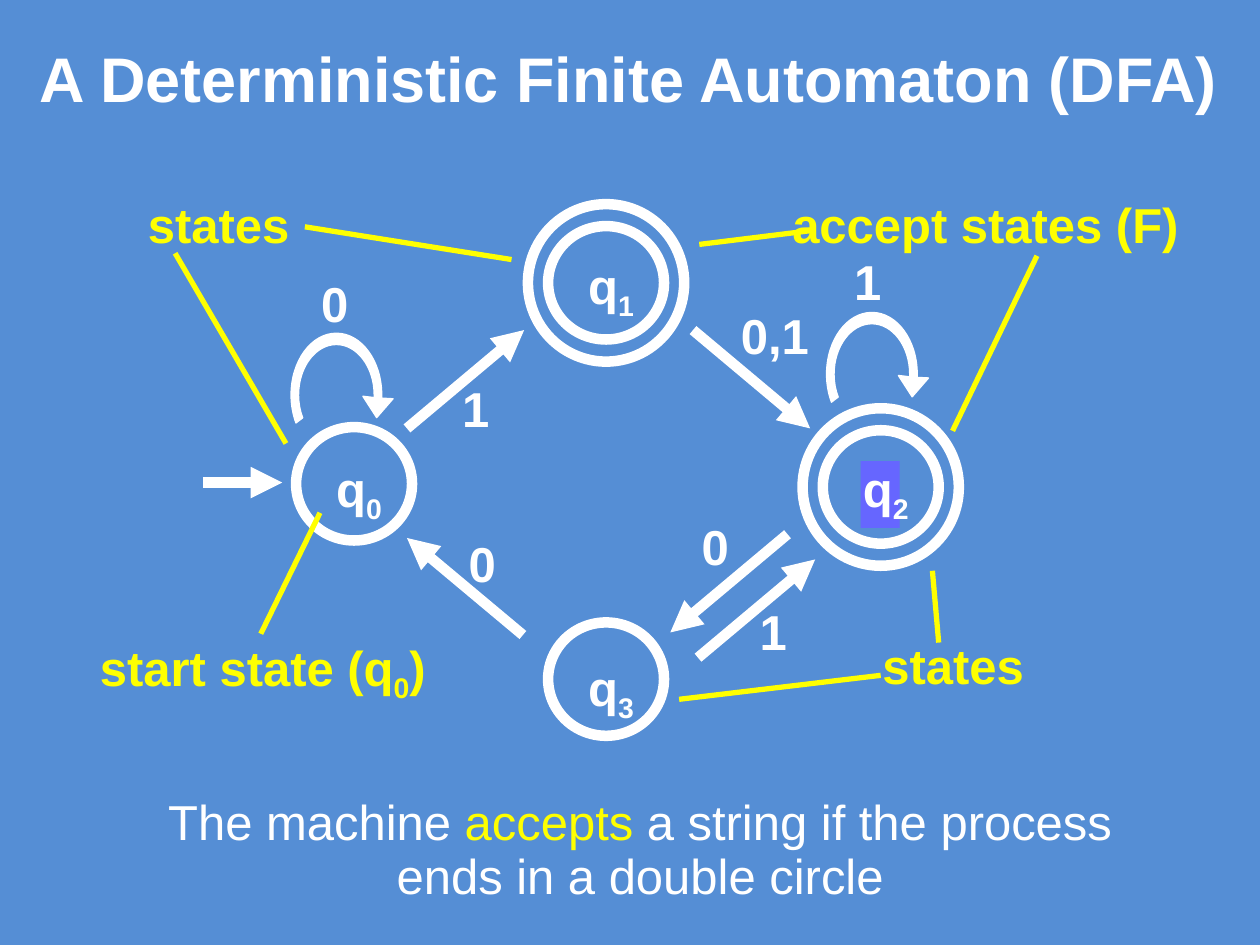
"""Build a slide that explains the parts of a deterministic finite automaton."""
from itertools import pairwise
from math import cos, radians, sin, tan

from lxml.etree import SubElement
from pptx import Presentation
from pptx.dml.color import RGBColor as RGB
from pptx.enum.shapes import MSO_CONNECTOR as CONN, MSO_SHAPE as SHAPE
from pptx.enum.text import MSO_ANCHOR as ANCHOR, MSO_AUTO_SIZE as AUTO, PP_ALIGN as ALIGN
from pptx.oxml.ns import qn
from pptx.util import Inches, Pt

COLORS = {"back": "558ED5", "ink": "FFFFFF", "note": "FFFF00", "mark": "6666FF"}
COLS, ROWS = 100, 75
CELL = Inches(0.1)

# state: centre column, centre row, label row, accepting
STATES = {
    "0": (28.1, 38.4, 35.9, False),
    "1": (48.1, 22.45, 19.8, True),
    "2": (69.9, 38.65, 35.9, True),
    "3": (48.1, 53.9, 51.7, False),
}
ARROWS = [
    (16.1, 38.3, 22.4, 38.3),
    (32.3, 34, 41.6, 26.2),
    (55, 26.2, 64.3, 34),
    (62.5, 42.4, 53.2, 50.2),
    (55.4, 52.2, 64.7, 44.4),
    (41.5, 50.4, 32.3, 42.7),
]
LOOPS = [(26.7, 31.35), (69.2, 29.7)]
SYMBOLS = [
    ("0", 24.5, 21.6), ("0,1", 57.8, 24.2), ("0", 54.7, 40.95), ("0", 36.2, 42.25),
    ("1", 35.7, 30), ("1", 59.3, 47.7), ("1", 66.8, 19.9),
]
NOTES = [
    ("start state (q", 6.75, 50.1, 28.2),
    ("accept states (F)", 61.8, 15.4, 32.8),
    ("states", 10.7, 15.4, 13.3),
    ("states", 69, 50.4, 13.3),
]
POINTERS = [
    (20.7, 50.3, 25.4, 40.7),
    (82.3, 20.3, 75.6, 34.2), (64.4, 18.3, 55.5, 19.4),
    (13.9, 20.1, 22.7, 35.2), (24.2, 18, 40.6, 20.6),
    (69.9, 53.6, 53.9, 55.5), (74, 45.3, 74.5, 51),
]


def grid(*cells):
    """Turn grid cells into lengths."""
    return [round(c * CELL) for c in cells]


def rgb(name):
    """Look up a colour by its name."""
    return RGB.from_string(COLORS[name])


def write(sp, *runs, size=28, bold=True, color="ink", spacing=0.93, wrap=False):
    """Fill a shape with one centred paragraph of (text, overrides) runs."""
    tf = sp.text_frame
    tf.word_wrap, tf.auto_size, tf.vertical_anchor = wrap, AUTO.SHAPE_TO_FIT_TEXT, ANCHOR.TOP
    p = tf.paragraphs[0]
    pPr = p._p.get_or_add_pPr()
    pPr.set("marL", "0")
    pPr.set("indent", "0")
    SubElement(pPr, qn("a:buNone"))
    p.alignment, p.line_spacing, p.space_before = ALIGN.CENTER, spacing, Pt(0)
    for text, fmt in runs:
        r = p.add_run()
        r.text = text
        r.font.name, r.font.size, r.font.bold = "Arial", Pt(size), bold
        r.font.color.rgb = rgb(fmt.get("color", color))
        if fmt.get("sub"):
            r._r.get_or_add_rPr().set("baseline", "-25000")


def move(sp, *box):
    """Place a placeholder on the grid."""
    sp.left, sp.top, sp.width, sp.height = grid(*box)
    return sp


def label(s, box, *runs, **fmt):
    """Add a text box on the grid."""
    write(s.shapes.add_textbox(*grid(*box)), *runs, **fmt)


def line(s, ends, color, width, arrow=False):
    """Add a straight line, with an arrowhead at its end if asked."""
    c = s.shapes.add_connector(CONN.STRAIGHT, *grid(*ends))
    c.line.color.rgb, c.line.width = rgb(color), Pt(width)
    if arrow:
        SubElement(c.line._get_or_add_ln(), qn("a:tailEnd"), type="triangle")
    SubElement(c._element.spPr, qn("a:effectLst"))


def ring(s, x, y, width, height):
    """Add a hollow circle around a centre."""
    sp = s.shapes.add_shape(SHAPE.OVAL, *grid(x - width / 2, y - height / 2, width, height))
    sp.shadow.inherit = False
    sp.fill.background()
    sp.line.color.rgb, sp.line.width = rgb("ink"), Pt(6)


def arc(x, y, rx, ry, angles):
    """List the Bézier points of an elliptic arc, its start first."""
    def at(angle, shift=0):
        c, n = cos(radians(angle)), sin(radians(angle))
        return x + rx * (c - shift * n), y - ry * (n + shift * c)

    points = [at(angles[0])]
    for a, b in pairwise(angles):
        k = 4 / 3 * tan(radians(b - a) / 4)
        points += [at(a, k), at(b, -k), at(b)]
    return points


def bend(segments):
    """Merge each three straight segments into one cubic curve."""
    for i in range(0, len(segments), 3):
        first, *rest = segments[i:i + 3]
        first.tag = qn("a:cubicBezTo")
        for segment in rest:
            first.append(segment[0])
            segment.getparent().remove(segment)


def loop(s, x, y):
    """Add a curved arrow that returns to its own state."""
    angles = [-3, 0, 90, 180, 207]
    inner, outer = arc(x, y, 3, 4, angles), arc(x, y, 3.6, 4.9, angles[::-1])
    head = [(x + dx, y + dy) for dx, dy in [(4.5, 0.3), (3.2, 1.8), (2.1, 0.1)]]
    builder = s.shapes.build_freeform(*grid(*inner[0]))
    builder.add_line_segments([grid(*pt) for pt in inner[1:] + outer + head], close=True)
    sp = builder.convert_to_shape()
    segments = list(sp._element.iter(qn("a:lnTo")))
    turn = len(inner) - 1
    bend(segments[:turn])
    bend(segments[turn + 1:turn + len(outer)])
    sp.shadow.inherit = False
    sp.fill.solid()
    sp.fill.fore_color.rgb = sp.line.color.rgb = rgb("ink")
    sp.line.width = Pt(0.75)


def highlight(s, *box):
    """Add a plain filled box behind a label."""
    sp = s.shapes.add_shape(SHAPE.RECTANGLE, *grid(*box))
    sp.shadow.inherit = False
    sp.fill.solid()
    sp.fill.fore_color.rgb = rgb("mark")
    sp.line.fill.background()


def main():
    """Draw the automaton with its notes."""
    prs = Presentation()
    prs.slide_width, prs.slide_height = grid(COLS, ROWS)
    s = prs.slides.add_slide(prs.slide_layouts[1])
    s.background.fill.solid()
    s.background.fill.fore_color.rgb = rgb("back")

    write(move(s.shapes.title, 0, 1.55, 99.8, 8.1),
          ("A Deterministic Finite Automaton (DFA)", {}), size=36, spacing=1.18, wrap=True)
    write(move(s.placeholders[1], 9, 62.7, 83.6, 9.8),
          ("The machine ", {}), ("accepts", {"color": "note"}),
          (" a string if the process ends in a double circle", {}), bold=False, wrap=True)

    for x, y, _, accepting in STATES.values():
        ring(s, x, y, 9.2, 9)
        if accepting:
            ring(s, x, y, 12.4, 12.5)
    for ends in ARROWS:
        line(s, ends, "ink", 6, arrow=True)
    for centre in LOOPS:
        loop(s, *centre)
    for text, x, y in SYMBOLS:
        label(s, (x, y, 7.4 if "," in text else 4.1, 5.3), (text, {}))

    highlight(s, 68.3, 36.6, 3.1, 5.3)
    for name, (x, _, top, _) in STATES.items():
        label(s, (x - 2.5, top, 5.8, 5.3), ("q", {}), (name, {"sub": True}))
    for text, x, y, width in NOTES:
        index = [("0", {"sub": True}), (")", {})] if text.endswith("(q") else []
        label(s, (x, y, width, 5.3), (text, {}), *index, color="note")
    for ends in POINTERS:
        line(s, ends, "note", 3)
    prs.save("out.pptx")


if __name__ == "__main__":
    main()
